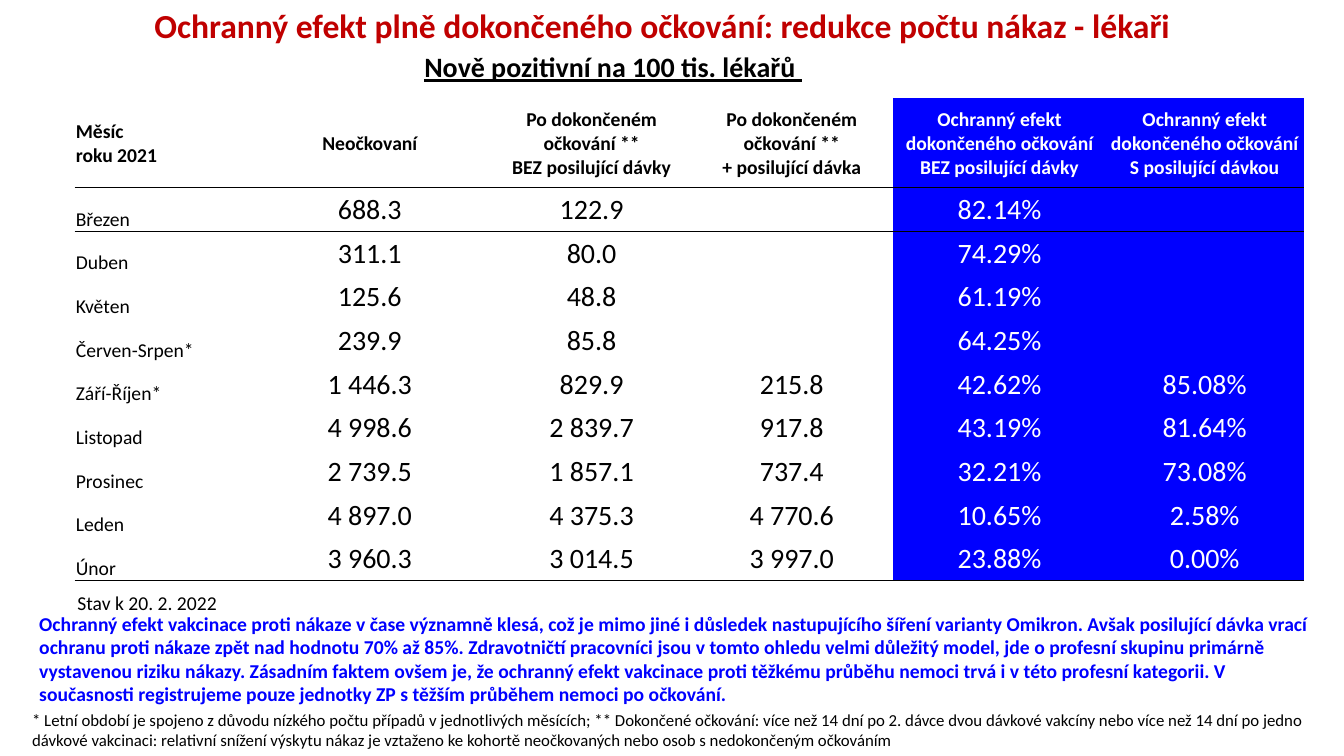
from lxml.etree import SubElement
from pptx import Presentation
from pptx.dml.color import RGBColor
from pptx.enum.text import MSO_ANCHOR, MSO_AUTO_SIZE, PP_ALIGN
from pptx.oxml.ns import qn
from pptx.util import Cm, Pt

BLACK, WHITE, RED, BLUE = "000000", "FFFFFF", "C00000", "0000FF"
NO_STYLE = "{2D5ABB26-0587-4C30-8999-92F81FD0307C}"

TITLE = "Ochranný efekt plně dokončeného očkování: redukce počtu nákaz - lékaři"
SUBTITLE = "Nově pozitivní na 100 tis. lékařů "
STATUS = "Stav k 20. 2. 2022"
CONCLUSION = (
    "Ochranný efekt vakcinace proti nákaze v čase významně klesá, což je mimo jiné i důsledek "
    "nastupujícího šíření varianty Omikron. Avšak posilující dávka vrací ochranu proti nákaze "
    "zpět nad hodnotu 70% až 85%. Zdravotničtí pracovníci jsou v tomto ohledu velmi důležitý "
    "model, jde o profesní skupinu primárně vystavenou riziku nákazy. Zásadním faktem ovšem je, "
    "že ochranný efekt vakcinace proti těžkému průběhu nemoci trvá i v této profesní kategorii. "
    "V současnosti registrujeme pouze jednotky ZP s těžším průběhem nemoci po očkování."
)
FOOTNOTE = (
    "* Letní období je spojeno z důvodu nízkého počtu případů v jednotlivých měsících; "
    "** Dokončené očkování: více než 14 dní po 2. dávce dvou dávkové vakcíny nebo více než "
    "14 dní po jedno dávkové vakcinaci: relativní snížení výskytu nákaz je vztaženo ke kohortě "
    "neočkovaných nebo osob s nedokončeným očkováním"
)
HEADINGS = [
    ["Měsíc", "roku 2021"],
    ["Neočkovaní"],
    ["Po dokončeném", "očkování **", "BEZ posilující dávky"],
    ["Po dokončeném", "očkování **", "+ posilující dávka"],
    ["Ochranný efekt dokončeného očkování BEZ posilující dávky"],
    ["Ochranný efekt dokončeného očkování S posilující dávkou"],
]
MONTHS = [
    ("Březen", "688.3", "122.9", "", "82.14%", ""),
    ("Duben", "311.1", "80.0", "", "74.29%", ""),
    ("Květen", "125.6", "48.8", "", "61.19%", ""),
    ("Červen-Srpen*", "239.9", "85.8", "", "64.25%", ""),
    ("Září-Říjen*", "1 446.3", "829.9", "215.8", "42.62%", "85.08%"),
    ("Listopad", "4 998.6", "2 839.7", "917.8", "43.19%", "81.64%"),
    ("Prosinec", "2 739.5", "1 857.1", "737.4", "32.21%", "73.08%"),
    ("Leden", "4 897.0", "4 375.3", "4 770.6", "10.65%", "2.58%"),
    ("Únor", "3 960.3", "3 014.5", "3 997.0", "23.88%", "0.00%"),
]
COLUMN_WIDTHS = [4.34, 6.2, 4.98, 5.11, 5.36, 4.98]
ROW_HEIGHT, HEADING_HEIGHT = 1.1, 2.26
FIRST_EFFECT_COLUMN = 4


def rgb(value):
    return RGBColor.from_string(value)


def write(frame, lines, size, color=BLACK, bold=False, underline=None, align=PP_ALIGN.LEFT):
    for index, line in enumerate(lines):
        paragraph = frame.add_paragraph() if index else frame.paragraphs[0]
        paragraph.alignment = align
        run = paragraph.add_run()
        run.text = line
        font = run.font
        font.name, font.size = "Calibri", Pt(size)
        font.bold, font.underline = bold, underline
        font.color.rgb = rgb(color)


def place(shape, left, top, width, height):
    shape.left, shape.top = Cm(left), Cm(top)
    shape.width, shape.height = Cm(width), Cm(height)


def add_text(slide, text, box, size, **style):
    frame = slide.shapes.add_textbox(*map(Cm, box)).text_frame
    frame.word_wrap = True
    write(frame, [text], size, **style)


def rule(cell, side):
    """Draw a thin black border on one side ("T" or "B") of a cell."""
    line = SubElement(cell._tc.get_or_add_tcPr(), qn(f"a:ln{side}"), w=str(Pt(1)))
    fill = SubElement(line, qn("a:solidFill"))
    SubElement(fill, qn("a:srgbClr"), val=BLACK)


def add_infection_table(slide):
    contents = [[[]] * len(HEADINGS), HEADINGS]
    contents += [[[value] if value else [] for value in month] for month in MONTHS]
    heights = [ROW_HEIGHT, HEADING_HEIGHT] + [ROW_HEIGHT] * len(MONTHS)
    holder = slide.shapes.add_table(
        len(contents), len(HEADINGS), Cm(1.88), Cm(1.37),
        Cm(sum(COLUMN_WIDTHS)), Cm(sum(heights)))
    table = holder.table
    table.first_row = table.horz_banding = False
    next(holder.element.iter(qn("a:tableStyleId"))).text = NO_STYLE
    for column, width in zip(table.columns, COLUMN_WIDTHS):
        column.width = Cm(width)
    for row, height in zip(table.rows, heights):
        row.height = Cm(height)

    for r, row in enumerate(contents):
        for c, lines in enumerate(row):
            cell = table.cell(r, c)
            heading, month = r == 1, c == 0
            effect = r > 0 and c >= FIRST_EFFECT_COLUMN
            cell.margin_left = cell.margin_right = cell.margin_top = Cm(0.03)
            cell.margin_bottom = 0
            bottom = month and not heading
            cell.vertical_anchor = MSO_ANCHOR.BOTTOM if bottom else MSO_ANCHOR.MIDDLE
            if r == 2:
                rule(cell, "T")
            if heading or r == len(contents) - 1:
                rule(cell, "B")
            if effect:
                cell.fill.solid()
                cell.fill.fore_color.rgb = rgb(BLUE)
            else:
                cell.fill.background()
            write(cell.text_frame, lines, 14 if heading or month else 20,
                  color=WHITE if effect else BLACK, bold=heading,
                  align=PP_ALIGN.LEFT if month else PP_ALIGN.CENTER)
    table.cell(0, 2).merge(table.cell(0, 5))


def main():
    presentation = Presentation()
    presentation.slide_width, presentation.slide_height = Cm(33.87), Cm(19.05)
    slide = presentation.slides.add_slide(presentation.slide_layouts[5])

    add_infection_table(slide)

    title = slide.shapes.title
    place(title, 0.56, 0.1, 32.26, 3.68)
    title.text_frame.auto_size = MSO_AUTO_SIZE.NONE
    title.text_frame.vertical_anchor = MSO_ANCHOR.TOP
    write(title.text_frame, [TITLE], 24, color=RED, bold=True, align=PP_ALIGN.CENTER)
    title.text_frame.paragraphs[0].line_spacing = 0.9

    add_text(slide, SUBTITLE, (9.83, 1.12, 11.25, 1.12), 20,
             bold=True, underline=True, align=PP_ALIGN.CENTER)
    add_text(slide, FOOTNOTE, (0.56, 17.75, 32.99, 1.27), 12)
    add_text(slide, STATUS, (1.7, 14.76, 5.61, 0.86), 14)
    add_text(slide, CONCLUSION, (0.74, 15.29, 32.69, 2.64), 14, color=BLUE, bold=True)

    presentation.save("out.pptx")


if __name__ == "__main__":
    main()
